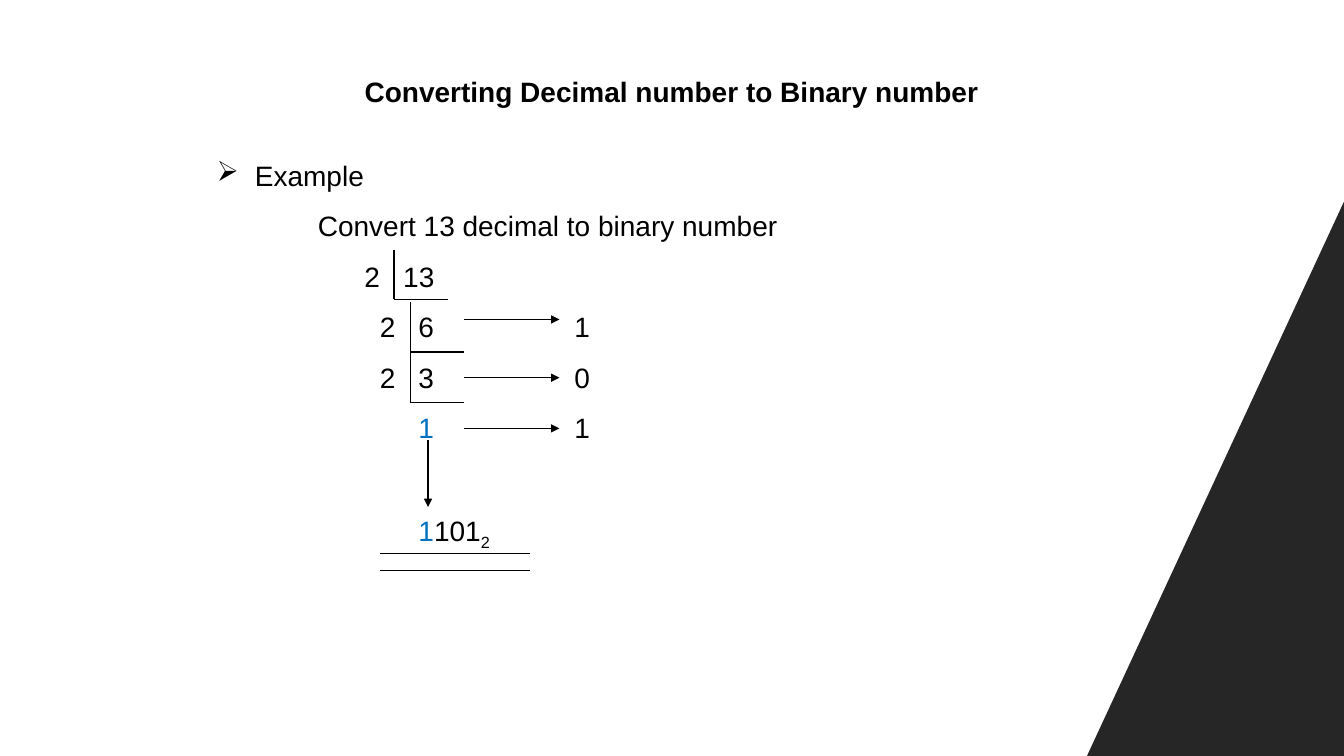
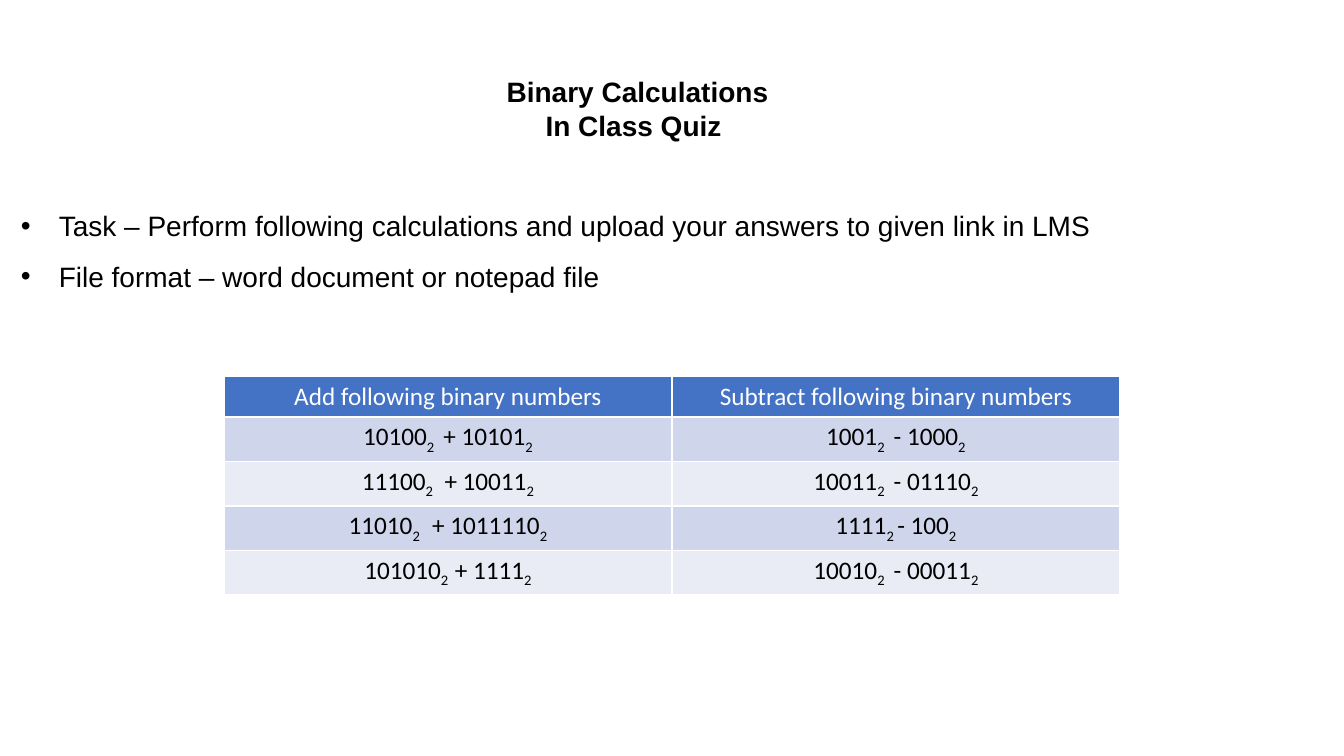
from lxml import etree
from pptx import Presentation
from pptx.dml.color import RGBColor
from pptx.enum.shapes import MSO_CONNECTOR
from pptx.enum.text import MSO_ANCHOR, PP_ALIGN
from pptx.oxml.ns import qn
from pptx.util import Pt

LINE = MSO_CONNECTOR.STRAIGHT
LEFT, MID = PP_ALIGN.LEFT, PP_ALIGN.CENTER
TOP = MSO_ANCHOR.TOP
COLORS = {"ink": "000000", "blue": "0070C0", "wedge": "262626",
          "head": "4472C4", "odd": "CFD5EA", "even": "E9EBF5", "white": "FFFFFF"}
HUE = {name: RGBColor.from_string(code) for name, code in COLORS.items()}
TITLE = {"bold": True, "align": MID}
BODY = {"pitch": 1.5}
CELL = {"font": "Calibri", "size": 18, "align": MID}
ARROW, DOT = ("Wingdings", "Ø"), ("Arial", "•")


def write(frame, runs, font="Arial", size=20, bold=False, align=LEFT,
          pitch=1.0, gap=0, indent=0, bullet=None):
    """Add a paragraph of (text, colour) runs; text between bars is lowered."""
    first = frame.paragraphs[0]
    para = frame.add_paragraph() if first.runs else first
    para.alignment = align
    para.space_before = Pt(gap)
    para.line_spacing = pitch
    props = para._p.get_or_add_pPr()
    props.set("marL", str(Pt(indent)))
    props.set("indent", str(Pt(-indent if bullet else 0)))
    if bullet:
        etree.SubElement(props, qn("a:buFont"), typeface=bullet[0])
        etree.SubElement(props, qn("a:buChar"), char=bullet[1])
    for text, color in runs:
        for i, part in enumerate(text.split("|")):
            if not part:
                continue
            run = para.add_run()
            run.text = part
            run.font.name, run.font.size = font, Pt(size)
            run.font.bold = bold
            run.font.color.rgb = HUE[color]
            if i % 2:
                run._r.get_or_add_rPr().set("baseline", "-25000")


def draw(slide, x1, y1, x2, y2, arrow=False):
    """Draw a thin black line, with an arrowhead at its end if asked."""
    line = slide.shapes.add_connector(LINE, Pt(x1), Pt(y1), Pt(x2), Pt(y2))
    line.line.width = Pt(1)
    line.line.color.rgb = HUE["ink"]
    if arrow:
        etree.SubElement(line.line._get_or_add_ln(), qn("a:tailEnd"), type="triangle")
    etree.SubElement(line._element.spPr, qn("a:effectLst"))


deck = Presentation()
deck.slide_width, deck.slide_height = Pt(960), Pt(540)

# Both slides: one text box from the title down
slides, frames = [], []
for left, width in ((147.9, 663.8), (7.9, 895)):
    slide = deck.slides.add_slide(deck.slide_layouts[6])
    if not slides:
        # Dark wedge in the lower right corner
        edge = slide.shapes.build_freeform(Pt(960), Pt(144))
        edge.add_line_segments([(Pt(960), Pt(540)), (Pt(776.4), Pt(540))])
        wedge = edge.convert_to_shape()
        wedge.shadow.inherit = False
        wedge.fill.solid()
        wedge.fill.fore_color.rgb = HUE["wedge"]
        wedge.line.fill.background()
    box = slide.shapes.add_textbox(Pt(left), Pt(49.7), Pt(width), Pt(440))
    box.text_frame.word_wrap = True
    box.text_frame.vertical_anchor = TOP
    slides.append(slide)
    frames.append(box.text_frame)

# Slide 1: worked example
slide, frame = slides[0], frames[0]
write(frame, [("Converting Decimal number to Binary number", "ink")], **TITLE)
write(frame, [("Example", "ink")], gap=24, indent=27, bullet=ARROW, **BODY)
write(frame, [("Convert 13 decimal to binary number", "ink")], indent=72, **BODY)

# Divisors, quotients and remainders, row by row, then the result
row, step = 185.3, 36
digits = [(260.3, row, [("2", "ink")]), (288, row, [("13", "ink")])]
for num, rest in (("6", "1"), ("3", "0")):
    row += step
    digits += [(271.4, row, [("2", "ink")]), (298.9, row, [(num, "ink")]),
               (410.2, row, [(rest, "ink")])]
row += step
digits += [(298.9, row, [("1", "blue")]), (410.2, row, [("1", "ink")]),
           (298.9, 366.7, [("1", "blue"), ("101|2", "ink")])]
for x, y, runs in digits:
    box = slide.shapes.add_textbox(Pt(x), Pt(y), Pt(70), Pt(24))
    frame = box.text_frame
    frame.word_wrap = True
    frame.margin_left = frame.margin_right = frame.margin_top = frame.margin_bottom = 0
    write(frame, runs)

# Division brackets
for x, y in ((281.5, 178.5), (293.2, 216), (293.2, 252)):
    draw(slide, x, y, x, y + 35.3)
    draw(slide, x, y + 35.3, x + 38.5, y + 35.3)

# Arrows to the remainders and to the result
for y in (228.2, 269.8, 306):
    draw(slide, 331.7, y, 399.6, y, arrow=True)
draw(slide, 305.8, 314.6, 305.8, 362.2, arrow=True)

# Double rule under the result
for y in (395.3, 407.5):
    draw(slide, 271.4, y, 378.7, y)

# Slide 2: quiz
slide, frame = slides[1], frames[1]
for text in ("Binary Calculations", "In Class Quiz "):
    write(frame, [(text, "ink")], **TITLE)
tasks = (
    "Task – Perform following calculations and upload your answers to given link in LMS",
    "File format – word document or notepad file",
)
for i, text in enumerate(tasks):
    write(frame, [(text, "ink")], gap=0 if i else 36, indent=27, bullet=DOT, **BODY)

# Quiz table
rows = (
    ("Add following binary numbers", "Subtract following binary numbers"),
    ("10100|2 | + 10101|2", "1001|2 | - 1000|2"),
    ("11100|2|  + 10011|2", "10011|2 | - 01110|2"),
    ("11010|2  | + 1011110|2", "1111|2 |- 100|2"),
    ("101010|2  |+ 1111|2", "10010|2 | - 00011|2"),
)
table = slide.shapes.add_table(len(rows), 2, Pt(160), Pt(268.6), Pt(640), Pt(146)).table
for r, row in enumerate(rows):
    fill = "head" if r == 0 else "odd" if r % 2 else "even"
    for c, text in enumerate(row):
        cell = table.cell(r, c)
        cell.fill.solid()
        cell.fill.fore_color.rgb = HUE[fill]
        write(cell.text_frame, [(text, "ink" if r else "white")], **CELL)

deck.save("out.pptx")
